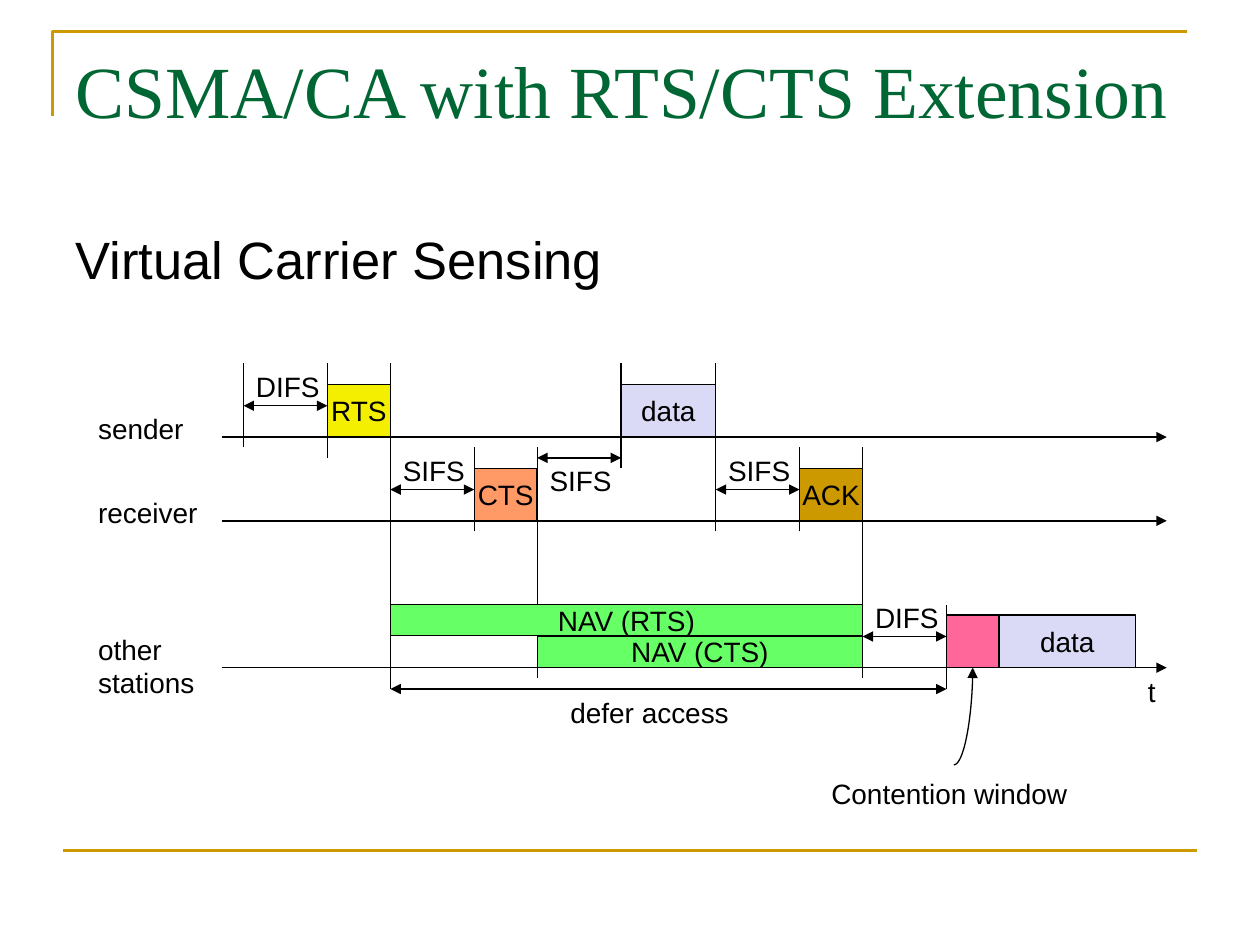
from dataclasses import dataclass
from itertools import accumulate

from lxml.etree import SubElement
from pptx import Presentation
from pptx.dml.color import RGBColor
from pptx.enum.shapes import MSO_CONNECTOR, MSO_SHAPE
from pptx.enum.text import MSO_ANCHOR, MSO_AUTO_SIZE, PP_ALIGN
from pptx.oxml.ns import qn
from pptx.util import Cm, Pt


@dataclass(frozen=True)
class Theme:
    ink: str = "000000"
    heading: str = "006633"
    gold: str = "CC9900"
    rts: str = "F4EE00"
    cts: str = "FF9966"
    data: str = "DADAF6"
    nav: str = "66FF66"
    contention: str = "FF6699"
    title_font: str = "Times New Roman"
    body_font: str = "Arial"
    title_size: float = 42
    subtitle_size: float = 30
    label_size: float = 16
    rule_width: float = 1.5
    line_width: float = 0.75


THEME = Theme()

# Time axis in cm: each moment follows the last by one gap or one frame
IFS, CONTROL, FRAME = 1.69, 1.27, 1.91
CONTENTION, NEXT_FRAME = 1.06, 2.75
(IDLE, RTS, RTS_END, CTS, CTS_END, DATA, DATA_END, ACK, ACK_END,
 WINDOW, NEXT_DATA, NEXT_END) = accumulate(
    [4.91, IFS, CONTROL, IFS, CONTROL, IFS, FRAME, IFS, CONTROL,
     IFS, CONTENTION, NEXT_FRAME])

# Station base lines and heights in cm
SENDER, RECEIVER, OTHERS = 8.81, 10.5, 13.46
AXIS_START, AXIS_END = 4.47, 23.52
FRAME_HEIGHT, NAV_HEIGHT = 1.06, 0.64
SENDER_TOP, RECEIVER_TOP = 7.32, 9.02
LABEL_HEIGHT, LABEL_RISE = 0.94, 0.85
GAP_LABEL_WIDTH = 1.95


def apply_format(target, values):
    for name, value in values.items():
        setattr(target, name, value)


def write(frame, text, size=THEME.label_size, font=THEME.body_font,
          color=THEME.ink, align=PP_ALIGN.LEFT, **frame_format):
    frame.text = text
    apply_format(frame, {"word_wrap": False, "vertical_anchor": MSO_ANCHOR.TOP,
                         **frame_format})
    for paragraph in frame.paragraphs:
        paragraph.alignment = align
        for run in paragraph.runs:
            apply_format(run.font, {"name": font, "size": Pt(size), "bold": False})
            run.font.color.rgb = RGBColor.from_string(color)


def draw_outline(line, color=THEME.ink, width=THEME.line_width):
    line.color.rgb = RGBColor.from_string(color)
    line.width = Pt(width)


def add_label(slide, text, left, top, width, height=LABEL_HEIGHT, **style):
    label = slide.shapes.add_textbox(Cm(left), Cm(top), Cm(width), Cm(height))
    write(label.text_frame, text, **style)


def add_line(slide, start, end, arrows=(), kind=MSO_CONNECTOR.STRAIGHT, **outline):
    line = slide.shapes.add_connector(kind, *map(Cm, (*start, *end)))
    draw_outline(line.line, **outline)
    for arrow in arrows:
        SubElement(line.line._get_or_add_ln(), qn(f"a:{arrow}"), type="triangle")
    SubElement(line._element.spPr, qn("a:effectLst"))
    return line


def add_frame(slide, text, start, end, base, color, height=FRAME_HEIGHT):
    frame = slide.shapes.add_shape(
        MSO_SHAPE.RECTANGLE, Cm(start), Cm(base - height), Cm(end - start), Cm(height))
    frame.shadow.inherit = False
    frame.fill.solid()
    frame.fill.fore_color.rgb = RGBColor.from_string(color)
    draw_outline(frame.line)
    if text:
        write(frame.text_frame, text, align=PP_ALIGN.CENTER,
              vertical_anchor=MSO_ANCHOR.MIDDLE)


def add_span(slide, start, end, y):
    add_line(slide, (start, y), (end, y), ("headEnd", "tailEnd"))


def add_gap(slide, text, start, y, rise=LABEL_RISE):
    add_span(slide, start, start + IFS, y)
    add_label(slide, text, start, y - rise, GAP_LABEL_WIDTH)


def add_frame_rules(slide):
    builder = slide.shapes.build_freeform(Cm(1.06), Cm(2.33))
    builder.add_line_segments([(Cm(1.06), Cm(0.63)), (Cm(23.92), Cm(0.63))], close=False)
    corner = builder.convert_to_shape()
    corner.shadow.inherit = False
    corner.fill.background()
    gold_rule = {"color": THEME.gold, "width": THEME.rule_width}
    draw_outline(corner.line, **gold_rule)
    add_line(slide, (1.27, 17.14), (24.13, 17.14), **gold_rule)


def add_headings(slide):
    title = slide.shapes.title
    apply_format(title, {"left": Cm(1.27), "top": Cm(0.77),
                         "width": Cm(22.86), "height": Cm(3.18)})
    write(title.text_frame, "CSMA/CA with RTS/CTS Extension", THEME.title_size,
          THEME.title_font, THEME.heading, word_wrap=True,
          auto_size=MSO_AUTO_SIZE.NONE)
    add_label(slide, "Virtual Carrier Sensing", 1.27, 4.45, 22.86, 1.5,
              size=THEME.subtitle_size, word_wrap=True)


def add_stations(slide):
    stations = [("sender", SENDER, 8.18, 2.4, LABEL_HEIGHT),
                ("receiver", RECEIVER, 9.86, 2.7, LABEL_HEIGHT),
                ("other\nstations", OTHERS, 12.62, 2.6, 1.63)]
    for name, base, top, width, height in stations:
        add_line(slide, (AXIS_START, base), (AXIS_END, base), ["tailEnd"])
        add_label(slide, name, 1.73, top, width, height)
    add_label(slide, "t", 22.89, 13.47, 0.75)


def add_time_marks(slide):
    marks = [(IDLE, SENDER_TOP, 9.02), (RTS, SENDER_TOP, 9.23),
             (RTS_END, SENDER_TOP, 13.89), (CTS, RECEIVER_TOP, 10.71),
             (CTS_END, RECEIVER_TOP, 13.67), (DATA, SENDER_TOP, 9.44),
             (DATA_END, SENDER_TOP, 10.71), (ACK, RECEIVER_TOP, 10.71),
             (ACK_END, RECEIVER_TOP, 13.67), (WINDOW, 12.19, 13.89)]
    for moment, top, bottom in marks:
        add_line(slide, (moment, bottom), (moment, top))


def add_exchange(slide):
    # Frames on each station's line
    frames = [("RTS", RTS, RTS_END, SENDER, THEME.rts),
              ("CTS", CTS, CTS_END, RECEIVER, THEME.cts),
              ("data", DATA, DATA_END, SENDER, THEME.data),
              ("ACK", ACK, ACK_END, RECEIVER, THEME.gold),
              ("", WINDOW, NEXT_DATA, OTHERS, THEME.contention),
              ("data", NEXT_DATA, NEXT_END, OTHERS, THEME.data)]
    for frame in frames:
        add_frame(slide, *frame)

    # Network allocation vectors, stacked on the last line
    navs = [("NAV (RTS)", RTS_END, OTHERS - NAV_HEIGHT), ("NAV (CTS)", CTS_END, OTHERS)]
    for text, start, base in navs:
        add_frame(slide, text, start, ACK_END, base, THEME.nav, NAV_HEIGHT)

    # Interframe spaces
    add_gap(slide, "DIFS", IDLE, 8.18)
    add_gap(slide, "SIFS", RTS_END, 9.87)
    add_gap(slide, "SIFS", CTS_END, 9.23, rise=0)
    add_gap(slide, "SIFS", DATA_END, 9.87)
    add_gap(slide, "DIFS", ACK_END, 12.83)


def add_deferral(slide):
    add_span(slide, RTS_END, WINDOW, 13.89)
    add_label(slide, "defer access", 11.25, 13.89, 4)

    # Pointer to the contention window
    pointer = add_line(slide, (19.23, 15.42), (WINDOW + CONTENTION / 2, OTHERS),
                       ["tailEnd"], MSO_CONNECTOR.CURVE)
    pointer._element.spPr.find(qn("a:prstGeom")).set("prst", "curvedConnector2")
    add_label(slide, "Contention window", 16.51, 15.52, 5.5)


def main():
    presentation = Presentation()
    apply_format(presentation, {"slide_width": Cm(25.4), "slide_height": Cm(19.05)})
    slide = presentation.slides.add_slide(presentation.slide_layouts[5])
    for add_part in (add_frame_rules, add_headings, add_stations,
                     add_time_marks, add_exchange, add_deferral):
        add_part(slide)
    presentation.save("out.pptx")


if __name__ == "__main__":
    main()
